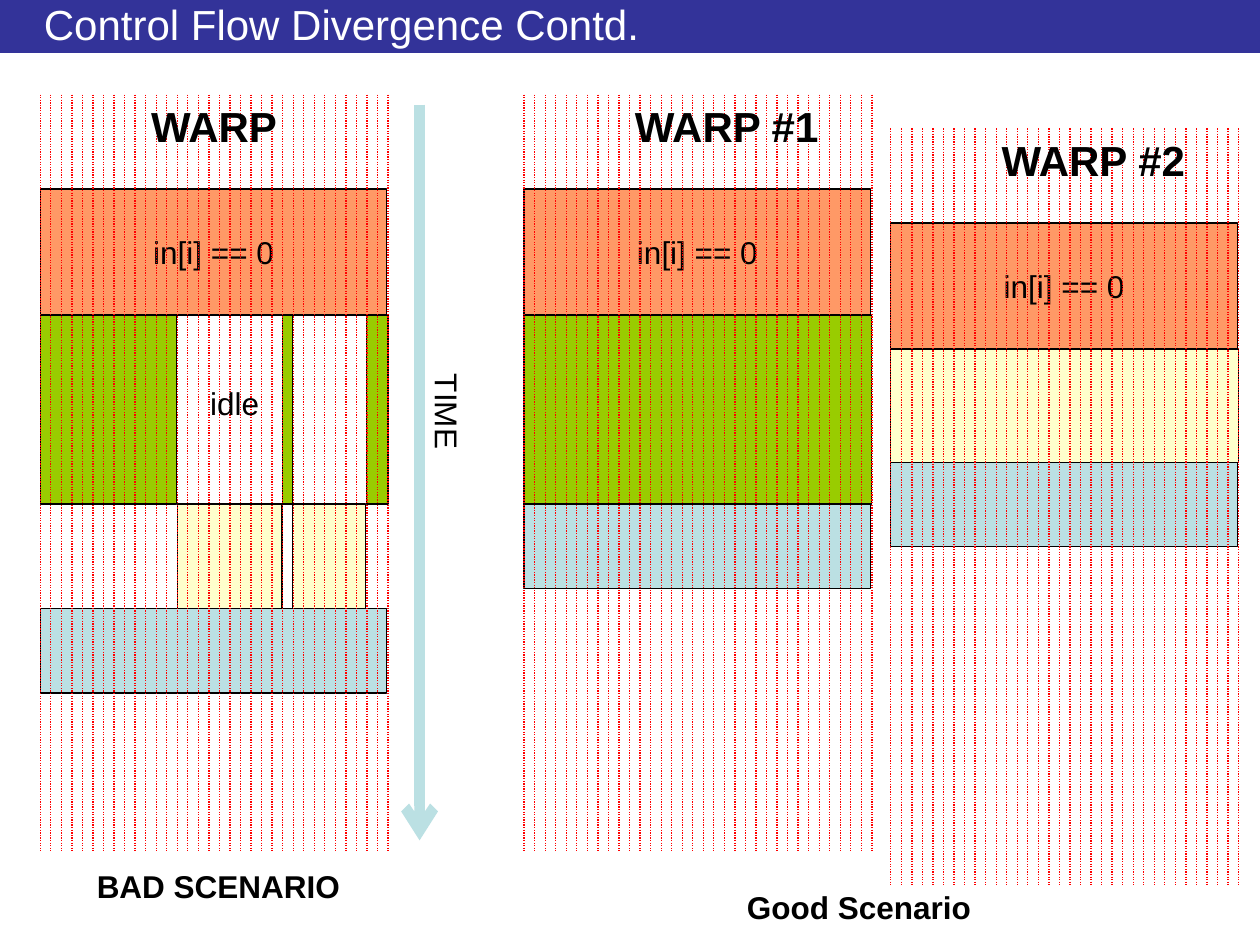
from lxml.etree import SubElement
from pptx import Presentation
from pptx.dml.color import RGBColor
from pptx.enum.dml import MSO_LINE
from pptx.enum.shapes import MSO_CONNECTOR, MSO_SHAPE
from pptx.enum.text import MSO_ANCHOR, PP_ALIGN
from pptx.oxml.ns import qn
from pptx.util import Inches, Pt

COLORS = {
    "banner": "333399", "white": "FFFFFF", "black": "000000", "thread": "FF0000",
    "test": "FF9966", "branch": "99CC00", "other": "FFFFCC", "join": "BBE0E3",
}
FONT = "Arial"
CONDITION = "in[i] == 0"
THREADS = 34
WARP_WIDTH = 2.76
WARP_HEIGHT = 6
BLOCK_WIDTH = 2.75
HEADING_DROP = 0.75

# Block: offset from the warp's left, offset below its heading, width, height, color, text
WARPS = [
    {"left": 4.16, "top": 0.75, "heading": ("WARP #1", 0.78, 1.68), "blocks": [
        (0, 0, BLOCK_WIDTH, 1, "test", CONDITION),
        (0, 1, WARP_WIDTH, 1.5, "branch", ""),
        (0, 2.5, BLOCK_WIDTH, 0.67, "join", ""),
    ]},
    {"left": 0.32, "top": 0.75, "heading": ("WARP", 0.78, 1.22), "blocks": [
        (1.92, 1, 0.08, 1.5, "branch", ""),
        (2.59, 1, 0.17, 1.5, "branch", ""),
        (2, 2.5, 0.58, 0.83, "other", ""),
        (0, 0, BLOCK_WIDTH, 1, "test", CONDITION),
        (0, 1, 1.08, 1.5, "branch", ""),
        (1.09, 2.5, 0.83, 0.83, "other", ""),
        (0, 3.33, BLOCK_WIDTH, 0.67, "join", ""),
    ]},
    {"left": 7.07, "top": 1.02, "heading": ("WARP #2", 0.78, 1.68), "blocks": [
        (0, 0, BLOCK_WIDTH, 1, "test", CONDITION),
        (0, 1, WARP_WIDTH, 0.9, "other", ""),
        (0, 1.9, BLOCK_WIDTH, 0.67, "join", ""),
    ]},
]

LABELS = [
    ("TIME", (3.15, 3.07, 0.8, 0.4), {"size": Pt(18)}, 90),
    ("BAD SCENARIO", (0.67, 6.83, 2.13, 0.4), {"size": Pt(18), "bold": True}, 0),
    ("Good Scenario", (5.83, 7, 1.98, 0.4), {"size": Pt(18), "bold": True}, 0),
    ("idle", (1.57, 3, 0.59, 0.4), {"size": Pt(18)}, 0),
]


def rgb(name):
    return RGBColor.from_string(COLORS[name])


def write(shape, text, font, color="black", **paragraph_format):
    frame = shape.text_frame
    frame.word_wrap = False
    paragraph = frame.paragraphs[0]
    for name, value in paragraph_format.items():
        setattr(paragraph, name, value)
    span = paragraph.add_run()
    span.text = text
    for name, value in {"name": FONT, **font}.items():
        setattr(span.font, name, value)
    span.font.color.rgb = rgb(color)


def add_label(page, text, place, font, rotation=0, color="black"):
    box = page.shapes.add_textbox(*map(Inches, place))
    box.rotation = rotation
    write(box, text, font, color)
    return box


def add_block(page, place, color, text="", outlined=True):
    block = page.shapes.add_shape(MSO_SHAPE.RECTANGLE, *map(Inches, place))
    block.shadow.inherit = False
    block.fill.solid()
    block.fill.fore_color.rgb = rgb(color)
    if outlined:
        block.line.color.rgb = rgb("black")
        block.line.width = Pt(0.75)
    else:
        block.line.fill.background()
    if text:
        block.text_frame.vertical_anchor = MSO_ANCHOR.MIDDLE
        write(block, text, {"size": Pt(18)}, alignment=PP_ALIGN.CENTER)


def add_vertical(page, x, top, bottom, color, width):
    line = page.shapes.add_connector(
        MSO_CONNECTOR.STRAIGHT, Inches(x), Inches(top), Inches(x), Inches(bottom))
    line.line.color.rgb = rgb(color)
    line.line.width = Pt(width)
    SubElement(line._element.spPr, qn("a:effectLst"))
    return line


def add_warp(page, warp):
    left, top = warp["left"], warp["top"]
    for dx, dy, width, height, color, text in warp["blocks"]:
        add_block(page, (left + dx, top + HEADING_DROP + dy, width, height), color, text)
    for index in range(THREADS):
        x = left + index * WARP_WIDTH / (THREADS - 1)
        thread = add_vertical(page, x, top, top + WARP_HEIGHT, "thread", 0.75)
        thread.line.dash_style = MSO_LINE.ROUND_DOT
    text, dx, width = warp["heading"]
    add_label(page, text, (left + dx, top, width, 0.5), {"size": Pt(24), "bold": True})


def main():
    deck = Presentation()
    deck.slide_width, deck.slide_height = Inches(10), Inches(7.5)
    page = deck.slides.add_slide(deck.slide_layouts[6])

    add_block(page, (0, 0, 10, 0.42), "banner", outlined=False)
    title = add_label(page, "Control Flow Divergence Contd.", (0.25, 0.05, 9.25, 0.28),
                      {"size": Pt(24)}, color="white")
    title.text_frame.word_wrap = True
    title.text_frame.vertical_anchor = MSO_ANCHOR.MIDDLE

    arrow = add_vertical(page, 3.33, 0.83, 6.67, "join", 6)
    SubElement(arrow.line._get_or_add_ln(), qn("a:tailEnd"), type="arrow")

    for warp in WARPS:
        add_warp(page, warp)
    for label in LABELS:
        add_label(page, *label)

    deck.save("out.pptx")


if __name__ == "__main__":
    main()
